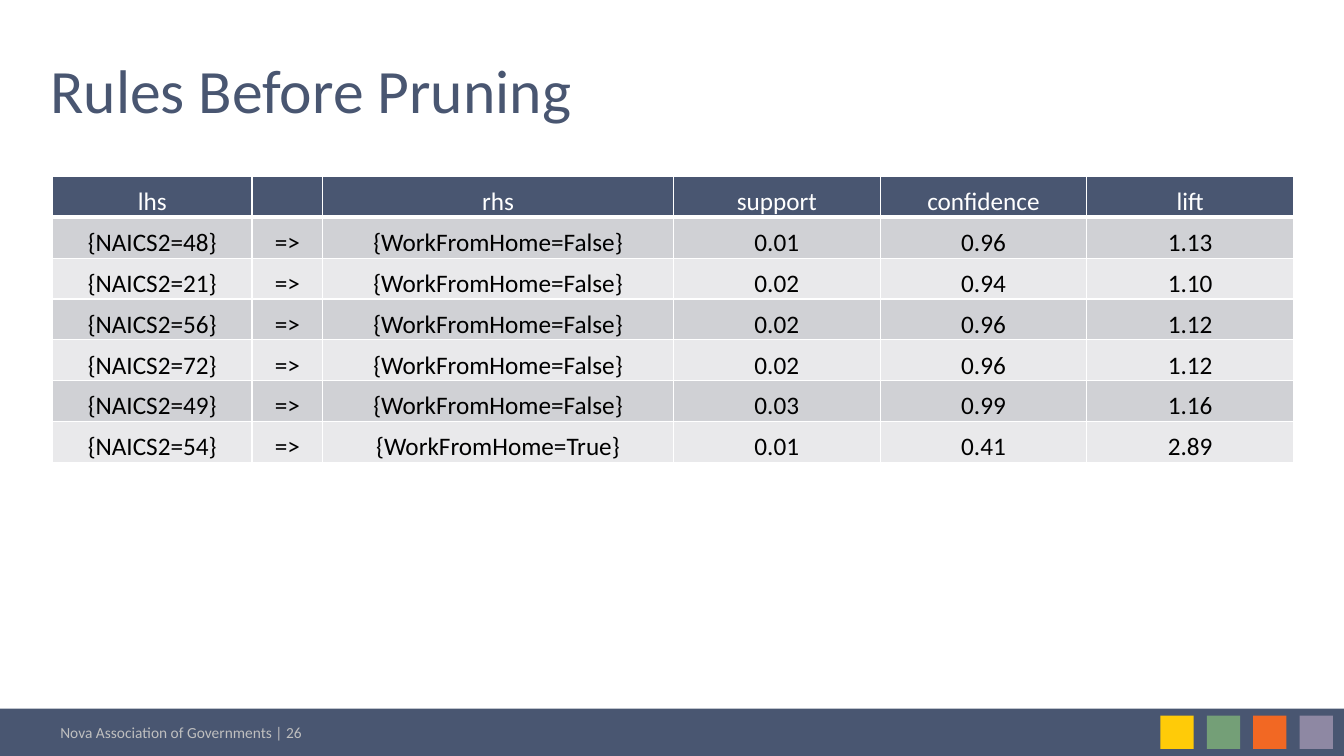
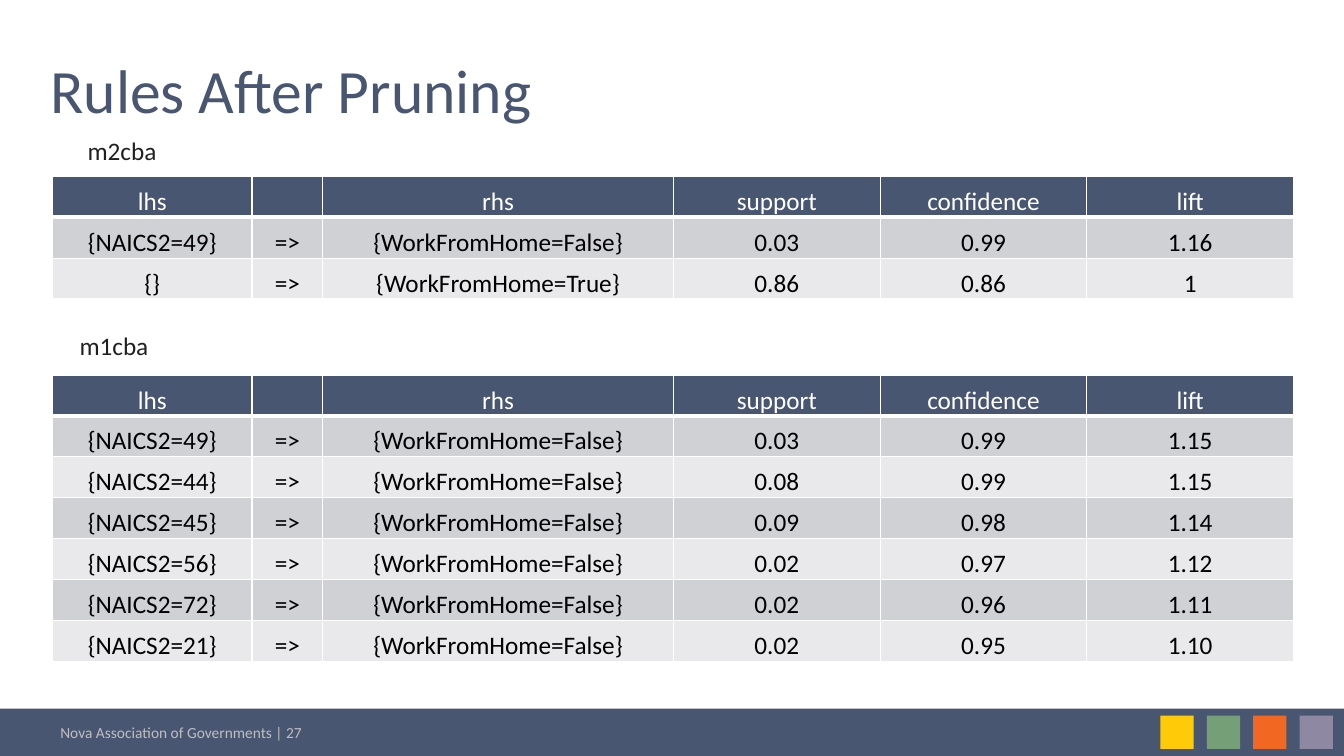
"""Build two slides that compare association rules before and after pruning."""
from lxml import etree
from pptx import Presentation
from pptx.dml.color import RGBColor
from pptx.enum.shapes import MSO_SHAPE
from pptx.enum.text import MSO_ANCHOR, PP_ALIGN
from pptx.oxml.ns import qn
from pptx.util import Inches, Pt

RECT = MSO_SHAPE.RECTANGLE
MIDDLE = MSO_ANCHOR.MIDDLE
BOTTOM = MSO_ANCHOR.BOTTOM
TOP = MSO_ANCHOR.TOP
CENTER = PP_ALIGN.CENTER

FONT = "Calibri"
NAVY, WHITE, BLACK = "495671", "FFFFFF", "000000"
LABEL_COLOR, FOOTER_COLOR = "202020", "BFBFBF"
ROW_FILLS = ["D0D1D5", "E9E9EB"]
SQUARE_FILLS = ["FFCB08", "749F77", "F26823", "8E88A3"]

SLIDE_W, SLIDE_H, BAND_H = 13.33, 7.5, 0.47
MARGIN = 0.5
SQUARE, SQUARE_LEFT, SQUARE_STEP = 0.33, 11.51, 0.46
TABLE_LEFT, TABLE_TOP, ROW_H = 0.52, 1.75, 2.84 / 7
COL_WIDTHS = [1.98, 0.7, 3.48, 2.05, 2.05, 2.05]
HEADER = ["lhs", "", "rhs", "support", "confidence", "lift"]

BEFORE = [
    ("48", "False", "0.01", "0.96", "1.13"),
    ("21", "False", "0.02", "0.94", "1.10"),
    ("56", "False", "0.02", "0.96", "1.12"),
    ("72", "False", "0.02", "0.96", "1.12"),
    ("49", "False", "0.03", "0.99", "1.16"),
    ("54", "True", "0.01", "0.41", "2.89"),
]
AFTER_M2 = [
    ("49", "False", "0.03", "0.99", "1.16"),
    ("", "True", "0.86", "0.86", "1"),
]
AFTER_M1 = [
    ("49", "False", "0.03", "0.99", "1.15"),
    ("44", "False", "0.08", "0.99", "1.15"),
    ("45", "False", "0.09", "0.98", "1.14"),
    ("56", "False", "0.02", "0.97", "1.12"),
    ("72", "False", "0.02", "0.96", "1.11"),
    ("21", "False", "0.02", "0.95", "1.10"),
]


def rgb(color):
    return RGBColor.from_string(color)


def format_runs(p, size, color):
    for r in p.runs:
        r.font.name = FONT
        r.font.size = Pt(size)
        r.font.bold = False
        r.font.color.rgb = rgb(color)


def add_rect(s, left, top, width, height, color):
    sp = s.shapes.add_shape(RECT, Inches(left), Inches(top), Inches(width), Inches(height))
    sp.shadow.inherit = False
    sp.fill.solid()
    sp.fill.fore_color.rgb = rgb(color)
    sp.line.fill.background()


def add_text(s, left, top, width, height, text, size, color, anchor=TOP, wrap=True):
    sp = s.shapes.add_textbox(Inches(left), Inches(top), Inches(width), Inches(height))
    tf = sp.text_frame
    tf.word_wrap = wrap
    tf.vertical_anchor = anchor
    tf.text = text
    format_runs(tf.paragraphs[0], size, color)
    return tf


def add_title(s, text):
    tf = add_text(s, MARGIN, 0.63, 9.96, 0.63, text, 44, NAVY, MIDDLE)
    tf.margin_left = tf.margin_bottom = 0
    tf.paragraphs[0].line_spacing = Pt(40)


def add_label(s, left, top, text):
    add_text(s, left, top, 0.92, 0.4, text, 18, LABEL_COLOR, wrap=False)


def add_footer(s, number):
    add_rect(s, 0, SLIDE_H - BAND_H, SLIDE_W, BAND_H, NAVY)
    for i, color in enumerate(SQUARE_FILLS):
        add_rect(s, SQUARE_LEFT + i * SQUARE_STEP, 7.1, SQUARE, SQUARE, color)
    add_text(s, MARGIN, 7.12, 4.87, 0.29,
             f"Nova Association of Governments | {number}", 11, FOOTER_COLOR)


def add_border(cell, side, width):
    tc_pr = cell._tc.get_or_add_tcPr()
    ln = etree.SubElement(tc_pr, qn(f"a:{side}"), w=str(Pt(width)))
    fill = etree.SubElement(ln, qn("a:solidFill"))
    etree.SubElement(fill, qn("a:srgbClr"), val=WHITE)


def format_cell(cell, text, row):
    cell.margin_left = cell.margin_right = cell.margin_top = Inches(0.01)
    cell.margin_bottom = 0
    cell.vertical_anchor = BOTTOM
    cell.text = text
    p = cell.text_frame.paragraphs[0]
    p.alignment = CENTER
    format_runs(p, 18, BLACK if row else WHITE)
    add_border(cell, "lnL", 1)
    add_border(cell, "lnR", 1)
    add_border(cell, "lnT", 3 if row == 1 else 1)
    add_border(cell, "lnB", 3 if row == 0 else 1)
    cell.fill.solid()
    cell.fill.fore_color.rgb = rgb(ROW_FILLS[(row - 1) % 2] if row else NAVY)


def add_rules_table(s, top, rules):
    rows = [HEADER]
    for code, from_home, *measures in rules:
        lhs = f"NAICS2={code}" if code else ""
        rows.append([f"{{{lhs}}}", "=>", f"{{WorkFromHome={from_home}}}", *measures])
    table = s.shapes.add_table(len(rows), len(HEADER), Inches(TABLE_LEFT), Inches(top),
                               Inches(sum(COL_WIDTHS)), Inches(ROW_H * len(rows))).table
    for column, width in zip(table.columns, COL_WIDTHS):
        column.width = Inches(width)
    for i, values in enumerate(rows):
        table.rows[i].height = Inches(ROW_H)
        for j, text in enumerate(values):
            format_cell(table.cell(i, j), text, i)


def add_slide(prs, title, number):
    s = prs.slides.add_slide(prs.slide_layouts[6])
    add_footer(s, number)
    add_title(s, title)
    return s


def main():
    prs = Presentation()
    prs.slide_width = Inches(SLIDE_W)
    prs.slide_height = Inches(SLIDE_H)

    s = add_slide(prs, "Rules Before Pruning", 26)
    add_rules_table(s, TABLE_TOP, BEFORE)

    s = add_slide(prs, "Rules After Pruning", 27)
    add_label(s, 0.77, 1.29, "m2cba")
    add_rules_table(s, TABLE_TOP, AFTER_M2)
    add_label(s, 0.69, 3.23, "m1cba")
    add_rules_table(s, 3.72, AFTER_M1)

    prs.save("out.pptx")


if __name__ == "__main__":
    main()
